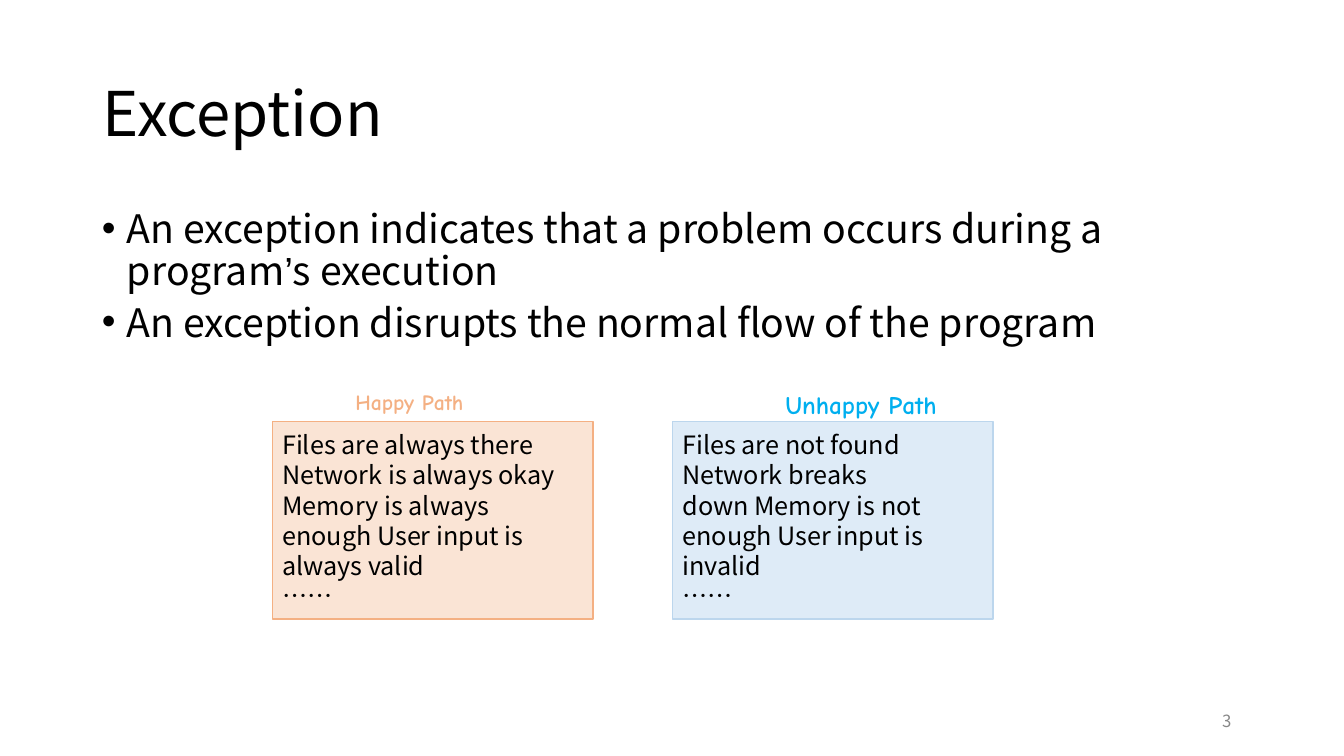
from pptx import Presentation
from pptx.dml.color import RGBColor
from pptx.enum import shapes, text
from pptx.oxml.ns import qn
from pptx.util import Inches, Pt
from lxml import etree

SANS = "Noto Sans CJK SC"
HAND = "Comic Neue"


def color(value):
    return RGBColor.from_string(value)


def set_frame(sp, left=0, top=0, right=0):
    tf = sp.text_frame
    tf.word_wrap = True
    tf.vertical_anchor = text.MSO_ANCHOR.TOP
    tf.margin_left, tf.margin_top = Inches(left), Inches(top)
    tf.margin_right, tf.margin_bottom = Inches(right), 0
    return tf


def add_box(slide, x, y, w, h, **margins):
    sp = slide.shapes.add_textbox(Inches(x), Inches(y), Inches(w), Inches(h))
    return set_frame(sp, **margins)


def add_run(p, content, size, fill="000000", font=SANS, bold=False):
    r = p.add_run()
    r.text = content
    r.font.size, r.font.name, r.font.bold = Pt(size), font, bold
    r.font.color.rgb = color(fill)
    for tag in ("a:ea", "a:cs"):
        etree.SubElement(r.font._element, qn(tag), typeface=font)


def add_title(slide, x, y, w, h):
    p = add_box(slide, x, y, w, h, left=0.42, top=0.07).paragraphs[0]
    p.line_spacing = Pt(52.8)
    add_run(p, "Exception", 44)


def add_bullets(slide, x, y, w, h, items):
    tf = add_box(slide, x, y, w, h, top=0.1)
    for i, runs in enumerate(items):
        p = tf.paragraphs[0] if i == 0 else tf.add_paragraph()
        p.line_spacing = Pt(30.4)
        if i:
            p.space_before = Pt(6.2)
        pPr = p._p.get_or_add_pPr()
        pPr.set("marL", str(Inches(0.26)))
        pPr.set("indent", str(Inches(-0.25)))
        etree.SubElement(pPr, qn("a:buFont"), typeface="Arial")
        etree.SubElement(pPr, qn("a:buChar"), char="•")
        for content, font in runs:
            add_run(p, content, 28, font=font)


def add_path_panel(slide, x, y, w, h, label, label_shift, label_size,
                   label_color, fill, line, body, right):
    # Label above the panel
    p = add_box(slide, x + label_shift, y - 0.32, w, 0.3).paragraphs[0]
    p.alignment = text.PP_ALIGN.CENTER
    add_run(p, label, label_size, label_color, HAND, bold=True)

    # Filled panel
    sp = slide.shapes.add_shape(shapes.MSO_SHAPE.RECTANGLE, Inches(x),
                                Inches(y), Inches(w), Inches(h))
    sp.shadow.inherit = False
    sp.fill.solid()
    sp.fill.fore_color.rgb = color(fill)
    sp.line.color.rgb = color(line)
    sp.line.width = Pt(1)
    tf = set_frame(sp, left=0.1, top=0.08, right=right)
    for i, content in enumerate((body, "……")):
        p = tf.paragraphs[0] if i == 0 else tf.add_paragraph()
        p.alignment = text.PP_ALIGN.LEFT
        p.line_spacing = Pt(21.6)
        add_run(p, content, 18)


def add_page_number(slide, x, y, w, h):
    p = add_box(slide, x, y, w, h, left=3.93, top=0.07).paragraphs[0]
    p.line_spacing = Pt(14.4)
    add_run(p, "3", 12, "888888")


def main():
    prs = Presentation()
    prs.slide_width, prs.slide_height = Inches(13.33), Inches(7.5)
    slide = prs.slides.add_slide(prs.slide_layouts[6])

    add_title(slide, 0.6, 0.67, 12.13, 0.83)
    add_bullets(slide, 1, 1.97, 10.37, 1.6, [
        [("An exception indicates that a problem occurs during a program", SANS),
         ("’", "Arial"), ("s execution", SANS)],
        [("An exception disrupts the normal flow of the program", SANS)],
    ])
    add_path_panel(
        slide, 2.7, 4.18, 3.18, 1.96, "Happy Path", -0.23, 15.5, "F4B083",
        "FAE4D5", "F4B083",
        "Files are always there Network is always okay "
        "Memory is always enough User input is always valid", 0.25)
    add_path_panel(
        slide, 6.67, 4.18, 3.18, 1.96, "Unhappy Path", 0.28, 18, "00AFEF",
        "DEEBF7", "BCD6ED",
        "Files are not found Network breaks down "
        "Memory is not enough User input is invalid", 0.66)
    add_page_number(slide, 8.19, 6.98, 4.29, 0.3)
    prs.save("out.pptx")


if __name__ == "__main__":
    main()
